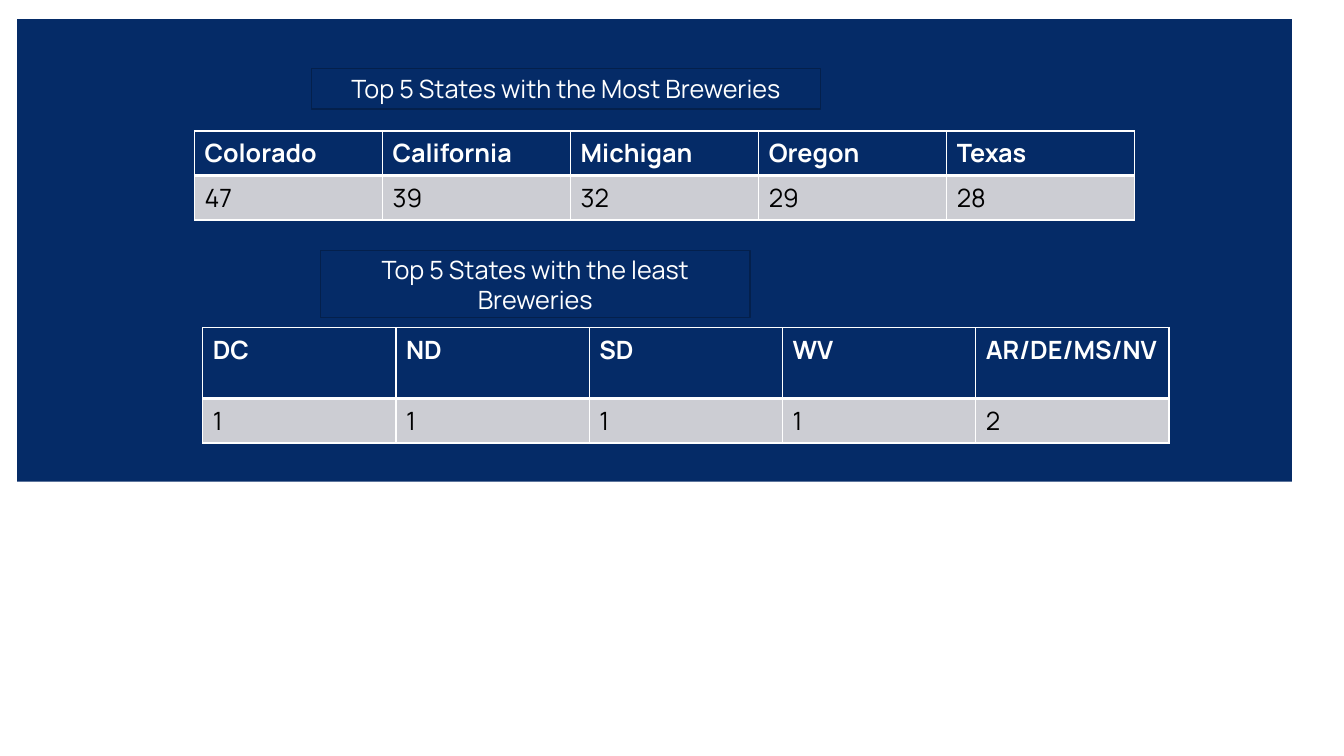
from dataclasses import dataclass

from lxml.etree import SubElement as Sub
from pptx import Presentation
from pptx.dml.color import RGBColor as Rgb
from pptx.enum.shapes import MSO_SHAPE as Kind
from pptx.enum.text import MSO_ANCHOR as Anchor, MSO_AUTO_SIZE as Fit, PP_ALIGN as Align
from pptx.oxml.ns import qn
from pptx.util import Cm, Pt

HUES = {"navy": "052B67", "edge": "04204C", "grey": "CCCDD3",
        "white": "FFFFFF", "black": "000000"}
FONT = "Manrope"


@dataclass
class Box:
    left: float
    top: float
    width: float
    height: float


@dataclass
class Group:
    label: str
    head: Box
    left: float
    top: float
    col: float
    rows: tuple[float, float]
    data: dict[str, int]


GROUPS = [
    Group("Top 5 States with the Most Breweries", Box(7.85, 1.73, 12.83, 1.02),
          4.9, 3.3, 4.74, (1.06, 1.06),
          {"Colorado": 47, "California": 39, "Michigan": 32, "Oregon": 29, "Texas": 28}),
    Group("Top 5 States with the least Breweries", Box(8.08, 6.32, 10.82, 1.68),
          5.11, 8.26, 4.87, (1.78, 1.02),
          {"DC": 1, "ND": 1, "SD": 1, "WV": 1, "AR/DE/MS/NV": 2}),
]


def hue(name: str) -> Rgb:
    return Rgb.from_string(HUES[name])


def write(frame, text: str, color: str = "white", bold: bool = False,
          align: Align = Align.LEFT, size: float = 18) -> None:
    para = frame.paragraphs[0]
    para.alignment = align
    run = para.add_run()
    run.text = text
    font = run.font
    font.name, font.size, font.bold = FONT, Pt(size), bold
    font.color.rgb = hue(color)


def add_box(slide, box: Box):
    shape = slide.shapes.add_shape(Kind.RECTANGLE, Cm(box.left), Cm(box.top),
                                   Cm(box.width), Cm(box.height))
    shape.shadow.inherit = False
    shape.fill.solid()
    shape.fill.fore_color.rgb = hue("navy")
    shape.line.fill.background()
    return shape


def add_head(shape, box: Box, text: str) -> None:
    shape.left, shape.top = Cm(box.left), Cm(box.top)
    shape.width, shape.height = Cm(box.width), Cm(box.height)
    shape.fill.solid()
    shape.fill.fore_color.rgb = hue("navy")
    shape.line.color.rgb = hue("edge")
    shape.line.width = Pt(1)
    frame = shape.text_frame
    frame.word_wrap = True
    frame.auto_size = Fit.NONE
    frame.vertical_anchor = Anchor.MIDDLE
    write(frame, text, align=Align.CENTER)


def style(cell, fill: str, top: float, base: float) -> None:
    props = cell._tc.get_or_add_tcPr()
    for side, width in (("L", 1), ("R", 1), ("T", top), ("B", base)):
        line = Sub(props, qn(f"a:ln{side}"), w=str(Pt(width)))
        Sub(Sub(line, qn("a:solidFill")), qn("a:srgbClr"), val=HUES["white"])
    cell.fill.solid()
    cell.fill.fore_color.rgb = hue(fill)


def add_grid(slide, group: Group) -> None:
    count = len(group.data)
    table = slide.shapes.add_table(2, count, Cm(group.left), Cm(group.top),
                                   Cm(group.col * count), Cm(sum(group.rows))).table
    for row, height in zip(table.rows, group.rows):
        row.height = Cm(height)
    for col, (state, total) in enumerate(group.data.items()):
        table.columns[col].width = Cm(group.col)
        name, value = table.cell(0, col), table.cell(1, col)
        style(name, "navy", top=1, base=3)
        style(value, "grey", top=3, base=1)
        write(name.text_frame, state, bold=True)
        write(value.text_frame, str(total), color="black")


def main() -> None:
    deck = Presentation()
    deck.slide_width, deck.slide_height = Cm(33.87), Cm(19.05)
    slide = deck.slides.add_slide(deck.slide_layouts.get_by_name("Title Only"))
    title = slide.shapes.title

    # Navy panel, placed behind the title
    panel = add_box(slide, Box(0.43, 0.48, 32.13, 11.66))
    title._element.addprevious(panel._element)

    # Headings and tables
    most, least = GROUPS
    add_head(title, most.head, most.label)
    add_head(add_box(slide, least.head), least.head, least.label)
    for group in GROUPS:
        add_grid(slide, group)

    deck.save("out.pptx")


if __name__ == "__main__":
    main()
